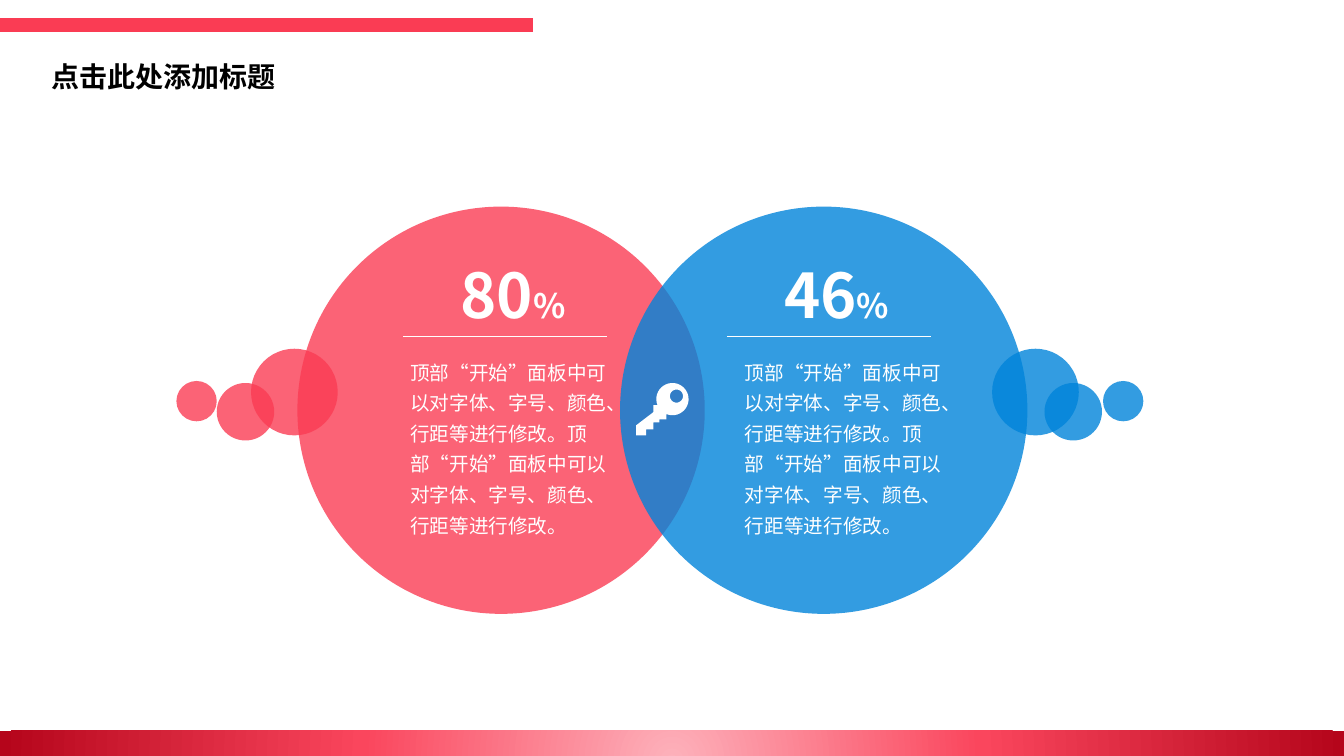
"""Build a slide with two overlapping percentage circles and a key."""
from math import cos, radians, sin

from lxml import etree
from pptx import Presentation
from pptx.dml.color import RGBColor
from pptx.enum.lang import MSO_LANGUAGE_ID
from pptx.enum.shapes import MSO_CONNECTOR, MSO_SHAPE
from pptx.enum.text import MSO_ANCHOR, MSO_AUTO_SIZE
from pptx.oxml import parse_xml
from pptx.oxml.ns import nsdecls, qn
from pptx.util import Inches, Pt

LINE = MSO_CONNECTOR.STRAIGHT
OVAL = MSO_SHAPE.OVAL
RECT = MSO_SHAPE.RECTANGLE
MIDDLE = MSO_ANCHOR.MIDDLE
GROW = MSO_AUTO_SIZE.SHAPE_TO_FIT_TEXT
FIXED = MSO_AUTO_SIZE.NONE
CHINESE = MSO_LANGUAGE_ID.SIMPLIFIED_CHINESE

FONT = "Noto Sans CJK SC"
COLORS = {"red": "FA3C54", "blue": "0084DA", "white": "FFFFFF", "black": "000000",
          "pale": "FDB1BB", "mid": "FA465D", "dark": "B5051B"}
BODY = "顶部“开始”面板中可以对字体、字号、颜色、行距等进行修改。" * 2
SIDES = [
    {"color": "red", "circle": 2.95, "number": "80", "number_x": 4.47,
     "rule_x": 4, "body_x": 3.97, "bubbles": (2.49, 2.15, 1.75)},
    {"color": "blue", "circle": 6.15, "number": "46", "number_x": 7.68,
     "rule_x": 7.21, "body_x": 7.29, "bubbles": (9.84, 10.36, 10.94)},
]
BUBBLE_SIZES = [(3.46, 0.86), (3.8, 0.57), (3.78, 0.4)]
KEY_SHAFT = [(6.52, 4.02), (6.48, 4.02), (6.48, 4.09), (6.31, 4.22), (6.31, 4.32),
             (6.41, 4.32), (6.41, 4.26), (6.48, 4.26), (6.48, 4.19), (6.54, 4.19),
             (6.54, 4.16), (6.61, 4.16), (6.61, 4.11)]


def rgb(name):
    """Return the named colour."""
    return RGBColor.from_string(COLORS[name])


def add_circle(s, x, y, size, color):
    """Add a circle with a 20% transparent fill."""
    sp = s.shapes.add_shape(OVAL, Inches(x), Inches(y), Inches(size), Inches(size))
    sp.shadow.inherit = False
    sp.fill.solid()
    sp.fill.fore_color.rgb = rgb(color)
    clr = sp.fill._xPr.find(".//" + qn("a:srgbClr"))
    etree.SubElement(clr, qn("a:alpha"), val="80000")
    sp.line.fill.background()


def add_line(s, x1, x2, y, color, width):
    """Add a horizontal line."""
    ln = s.shapes.add_connector(LINE, Inches(x1), Inches(y), Inches(x2), Inches(y))
    ln.line.color.rgb = rgb(color)
    ln.line.width = Pt(width)
    etree.SubElement(ln._element.spPr, qn("a:effectLst"))


def add_text(s, box, runs, color="white", bold=False, spacing=1.0, anchor=None, fit=GROW):
    """Add a one-paragraph text box from (text, size) runs."""
    sp = s.shapes.add_textbox(*map(Inches, box))
    tf = sp.text_frame
    tf.word_wrap = True
    tf.auto_size = fit
    if anchor is not None:
        tf.vertical_anchor = anchor
    p = tf.paragraphs[0]
    p.line_spacing = spacing
    for text, size in runs:
        r = p.add_run()
        r.text = text
        r.font.size = Pt(size)
        r.font.bold = bold
        r.font.name = FONT
        r.font.language_id = CHINESE
        r.font.color.rgb = rgb(color)
        etree.SubElement(r.font._element, qn("a:ea"), typeface=FONT)


def add_footer(s):
    """Add the bottom band with a radial gradient."""
    sp = s.shapes.add_shape(RECT, 0, Inches(7.25), Inches(13.33), Inches(0.29))
    sp.shadow.inherit = False
    sp.line.fill.background()
    stops = "".join(f'<a:gs pos="{pos}000"><a:srgbClr val="{COLORS[name]}"/></a:gs>'
                    for pos, name in ((0, "pale"), (46, "mid"), (100, "dark")))
    grad = parse_xml(
        f'<a:gradFill {nsdecls("a")} rotWithShape="1"><a:gsLst>{stops}</a:gsLst>'
        '<a:path path="circle"><a:fillToRect l="50000" t="130000" r="50000" b="-30000"/>'
        '</a:path></a:gradFill>')
    sp._element.spPr.find(qn("a:prstGeom")).addnext(grad)


def arc(cx, cy, radius, start, end, steps=32):
    """Return points along an arc, with angles in degrees."""
    angles = [radians(start + (end - start) * i / steps) for i in range(steps + 1)]
    return [(cx + radius * cos(a), cy + radius * sin(a)) for a in angles]


def to_lengths(points):
    """Convert points in inches to slide lengths."""
    return [(Inches(x), Inches(y)) for x, y in points]


def add_key(s):
    """Add the white key with a round hole in its head."""
    outline = to_lengths(KEY_SHAFT + arc(6.67, 3.96, 0.16, 112, -202))
    hole = to_lengths(arc(6.71, 3.93, 0.065, 0, 360))
    fb = s.shapes.build_freeform(*outline[0])
    fb.add_line_segments(outline[1:], close=True)
    fb.move_to(*hole[0])
    fb.add_line_segments(hole[1:], close=True)
    sp = fb.convert_to_shape()
    sp.shadow.inherit = False
    sp.fill.solid()
    sp.fill.fore_color.rgb = rgb("white")
    sp.line.fill.background()


def main():
    """Build and save the slide."""
    prs = Presentation()
    prs.slide_width, prs.slide_height = Inches(13.33), Inches(7.5)
    s = prs.slides.add_slide(prs.slide_layouts[6])
    add_line(s, 0, 5.29, 0.25, "red", 10)
    add_footer(s)
    add_text(s, (0.41, 0.49, 4.88, 0.58), [("点击此处添加标题", 20)], color="black",
             bold=True, spacing=0.9, anchor=MIDDLE, fit=FIXED)
    for side in SIDES:
        add_circle(s, side["circle"], 2.05, 4.04, side["color"])
    add_key(s)
    for side in SIDES:
        add_text(s, (side["number_x"], 2.5, 1.34, 0.84),
                 [(side["number"], 44), ("%", 24)], bold=True)
        add_line(s, side["rule_x"], side["rule_x"] + 2.02, 3.34, "white", 0.5)
        add_text(s, (side["body_x"], 3.46, 2.17, 1.94), [(BODY, 14)], spacing=1.3)
        for x, (y, size) in zip(side["bubbles"], BUBBLE_SIZES):
            add_circle(s, x, y, size, side["color"])
    prs.save("out.pptx")


if __name__ == "__main__":
    main()
